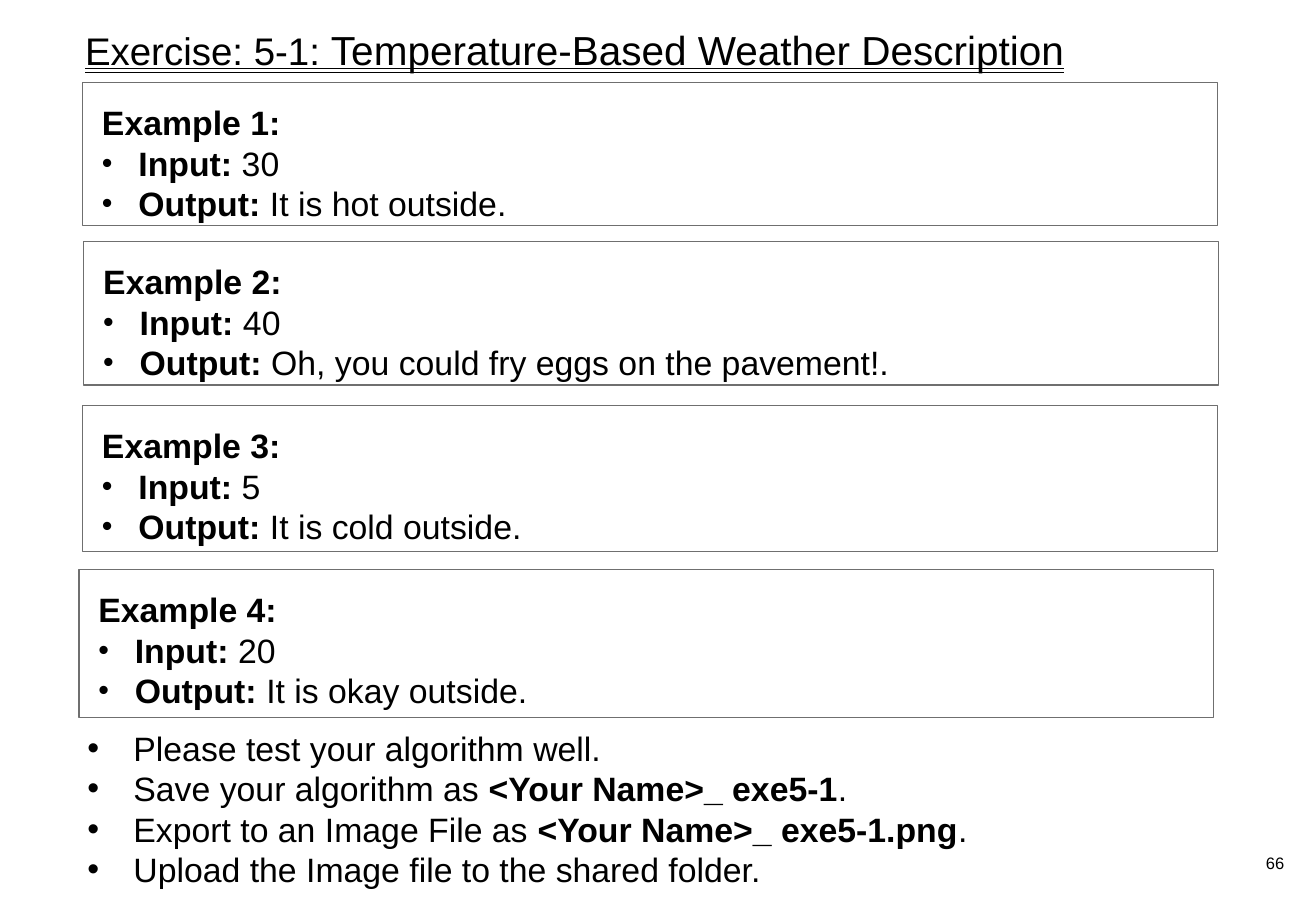
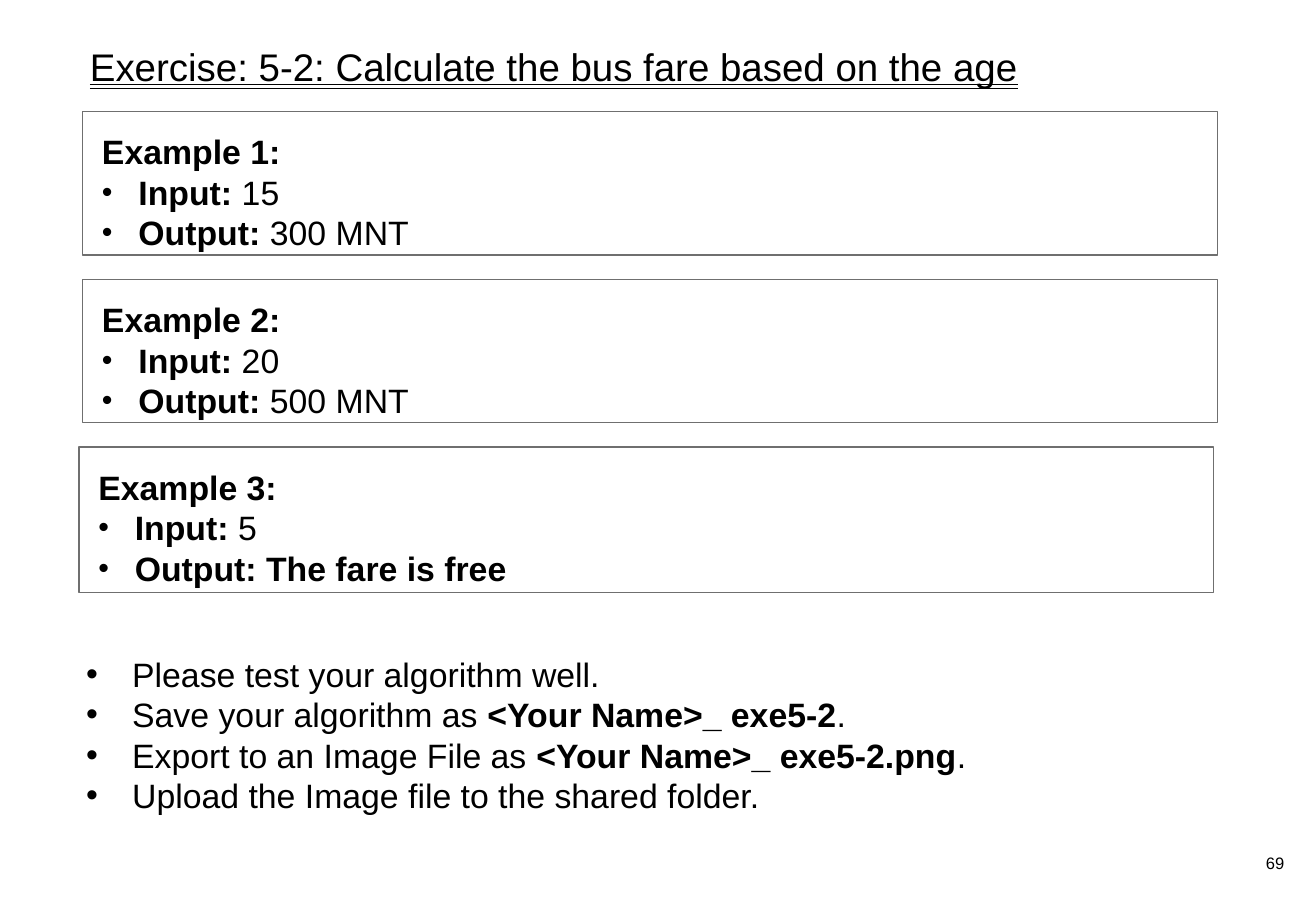
from dataclasses import dataclass

from lxml import etree
from pptx import Presentation
from pptx.dml.color import RGBColor
from pptx.enum.shapes import MSO_SHAPE
from pptx.enum.text import MSO_ANCHOR, MSO_TEXT_UNDERLINE_TYPE, PP_ALIGN
from pptx.oxml.ns import qn
from pptx.util import Emu, Pt

PX = 9144  # EMU per px, 100 px to the inch
SLIDE_WIDTH, SLIDE_HEIGHT = 1083, 750
BOX_WIDTH = 934

BLACK = RGBColor(0x00, 0x00, 0x00)
BORDER_GRAY = RGBColor(0x6F, 0x6F, 0x6F)
FONT = "Arial"
TITLE_SIZE, BODY_SIZE, NUMBER_SIZE = 22.8, 20, 9.8

RECTANGLE = MSO_SHAPE.RECTANGLE
TOP, MIDDLE = MSO_ANCHOR.TOP, MSO_ANCHOR.MIDDLE
LEFT, RIGHT = PP_ALIGN.LEFT, PP_ALIGN.RIGHT
DOUBLE_UNDERLINE = MSO_TEXT_UNDERLINE_TYPE.DOUBLE_LINE


@dataclass(frozen=True)
class Box:
    left: int
    top: int
    width: int
    height: int

    def emu(self) -> list[Emu]:
        return [Emu(length * PX) for length in (self.left, self.top, self.width, self.height)]


@dataclass(frozen=True)
class Span:
    text: str
    bold: bool = False
    size: float | None = None


@dataclass(frozen=True)
class Bullet:
    indent: int
    percent: int = 100


@dataclass(frozen=True)
class Line:
    spans: tuple[Span, ...]
    bullet: Bullet | None = None


@dataclass(frozen=True)
class Example:
    left: int
    top: int
    height: int
    given: str
    result: str
    bold_result: bool = False


@dataclass(frozen=True)
class Exercise:
    file_name: str
    page: str
    title: tuple[Span, ...]
    title_box: Box
    examples: tuple[Example, ...]
    steps_left: int
    steps_top: int


EXAMPLE_BULLET = Bullet(30, 90)
STEP_BULLET = Bullet(38)
NUMBER_BOX = Box(840, 698, 217, 24)

EXERCISES = (
    Exercise(
        "exe5-1", "66",
        (Span("Exercise: 5-1: "), Span("Temperature-Based Weather Description", size=24)),
        Box(70, 25, BOX_WIDTH, 63),
        (
            Example(68, 68, 118, "30", "It is hot outside."),
            Example(69, 199, 118, "40", "Oh, you could fry eggs on the pavement!."),
            Example(68, 334, 120, "5", "It is cold outside."),
            Example(65, 469, 122, "20", "It is okay outside."),
        ),
        62, 594,
    ),
    Exercise(
        "exe5-2", "69",
        (Span("Exercise: 5-2: Calculate the bus fare based on the age"),),
        Box(74, 40, BOX_WIDTH, 78),
        (
            Example(68, 92, 118, "15", "300 MNT"),
            Example(68, 230, 118, "20", "500 MNT"),
            Example(65, 368, 120, "5", "The fare is free", bold_result=True),
        ),
        61, 533,
    ),
)


def add_bullet(paragraph, bullet: Bullet) -> None:
    properties = paragraph._p.get_or_add_pPr()
    properties.set("marL", str(bullet.indent * PX))
    properties.set("indent", str(-bullet.indent * PX))
    etree.SubElement(properties, qn("a:buSzPct")).set("val", str(bullet.percent * 1000))
    etree.SubElement(properties, qn("a:buFont")).set("typeface", FONT)
    etree.SubElement(properties, qn("a:buChar")).set("char", "•")


def write_text(shape, lines: list[Line], *, size: float = BODY_SIZE, underline=None,
               align=LEFT, anchor=TOP, spacing: float = 1.0,
               margins: tuple[int, int, int, int] = (0, 0, 0, 0)) -> None:
    """Fill a shape with lines; margins run left, top, right, bottom."""
    frame = shape.text_frame
    frame.word_wrap = True
    frame.vertical_anchor = anchor
    (frame.margin_left, frame.margin_top,
     frame.margin_right, frame.margin_bottom) = [Emu(margin * PX) for margin in margins]
    for index, line in enumerate(lines):
        paragraph = frame.add_paragraph() if index else frame.paragraphs[0]
        paragraph.alignment = align
        paragraph.line_spacing = spacing
        if line.bullet:
            add_bullet(paragraph, line.bullet)
        for span in line.spans:
            run = paragraph.add_run()
            run.text = span.text
            run.font.name = FONT
            run.font.size = Pt(span.size or size)
            run.font.bold = span.bold
            run.font.underline = underline
            run.font.color.rgb = BLACK


def add_example(slide, number: int, example: Example) -> None:
    box = Box(example.left, example.top, BOX_WIDTH, example.height)
    shape = slide.shapes.add_shape(RECTANGLE, *box.emu())
    shape.shadow.inherit = False
    shape.fill.background()
    shape.line.color.rgb = BORDER_GRAY
    shape.line.width = Pt(0.75)
    lines = [
        Line((Span(f"Example {number}:", bold=True),)),
        Line((Span("Input: ", bold=True), Span(example.given)), EXAMPLE_BULLET),
        Line((Span("Output: ", bold=True), Span(example.result, example.bold_result)),
             EXAMPLE_BULLET),
    ]
    write_text(shape, lines, margins=(16, 16, 16, 0))


def add_steps(slide, exercise: Exercise) -> None:
    name = f"<Your Name>_ {exercise.file_name}"
    steps = (
        (Span("Please test your algorithm well."),),
        (Span("Save your algorithm as "), Span(name, bold=True), Span(".")),
        (Span("Export to an Image File as "), Span(f"{name}.png", bold=True), Span(".")),
        (Span("Upload the Image file to the shared folder."),),
    )
    box = Box(exercise.steps_left, exercise.steps_top, 940, 145)
    write_text(slide.shapes.add_textbox(*box.emu()),
               [Line(spans, STEP_BULLET) for spans in steps], margins=(10, 5, 10, 5))


def add_exercise(presentation, exercise: Exercise) -> None:
    slide = presentation.slides.add_slide(presentation.slide_layouts[6])

    # Title
    write_text(slide.shapes.add_textbox(*exercise.title_box.emu()), [Line(exercise.title)],
               size=TITLE_SIZE, underline=DOUBLE_UNDERLINE, spacing=0.9)

    # Examples and closing steps
    for number, example in enumerate(exercise.examples, start=1):
        add_example(slide, number, example)
    add_steps(slide, exercise)

    # Page number
    write_text(slide.shapes.add_textbox(*NUMBER_BOX.emu()), [Line((Span(exercise.page),))],
               size=NUMBER_SIZE, align=RIGHT, anchor=MIDDLE)


def main() -> None:
    presentation = Presentation()
    presentation.slide_width = Emu(SLIDE_WIDTH * PX)
    presentation.slide_height = Emu(SLIDE_HEIGHT * PX)
    for exercise in EXERCISES:
        add_exercise(presentation, exercise)
    presentation.save("out.pptx")


if __name__ == "__main__":
    main()
